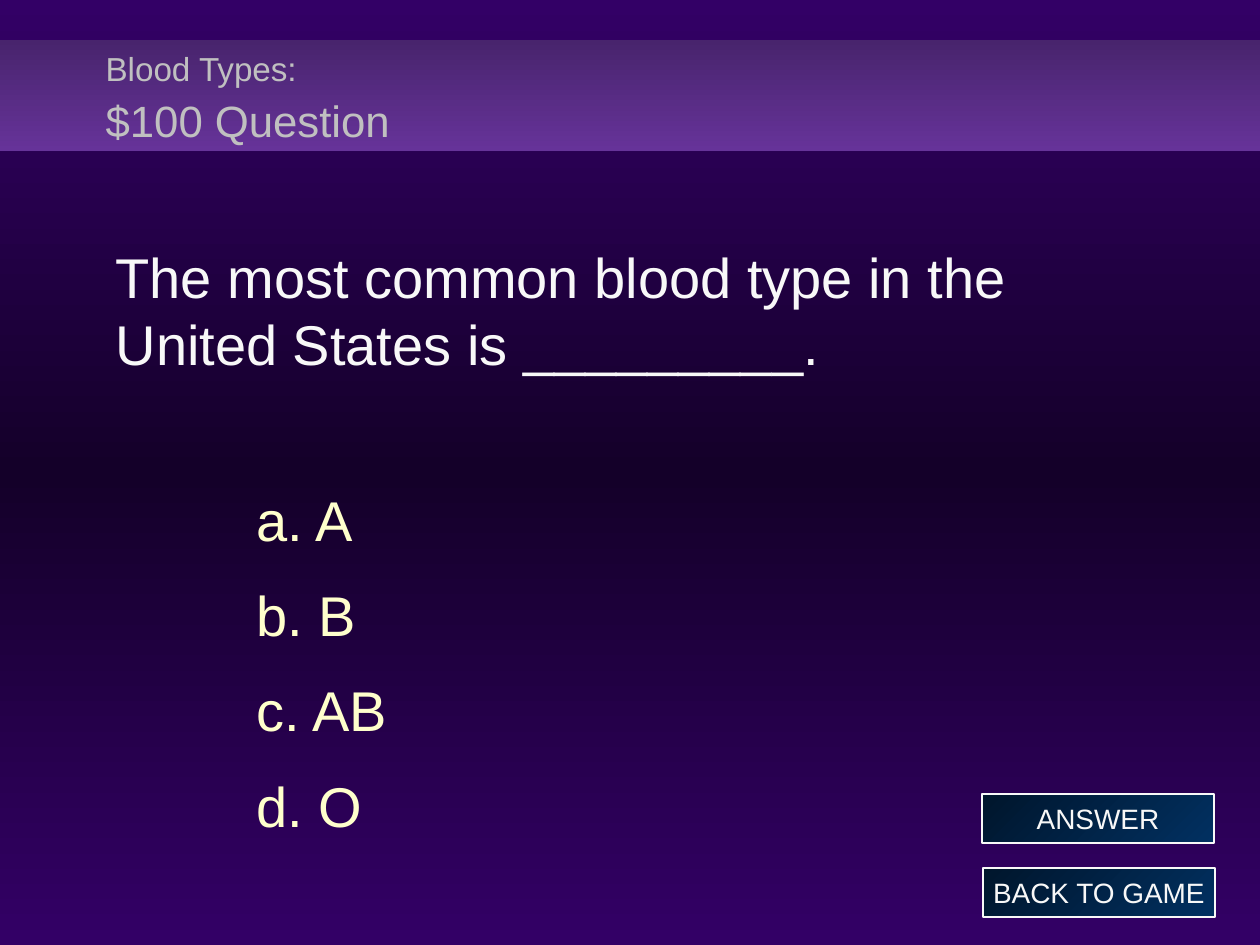
from lxml import etree
from pptx import Presentation
from pptx.dml.color import RGBColor
from pptx.enum.shapes import MSO_SHAPE
from pptx.enum.text import MSO_ANCHOR, MSO_AUTO_SIZE, PP_ALIGN
from pptx.oxml.ns import qn
from pptx.util import Emu, Pt

RECT = MSO_SHAPE.RECTANGLE
MIDDLE = MSO_ANCHOR.MIDDLE
NO_FIT = MSO_AUTO_SIZE.NONE
LEFT, CENTER = PP_ALIGN.LEFT, PP_ALIGN.CENTER

VIOLET = RGBColor(0x33, 0x00, 0x66)
NIGHT = RGBColor(0x14, 0x00, 0x29)
BAND_TOP = RGBColor(0x48, 0x24, 0x6D)
BAND_BOTTOM = RGBColor(0x66, 0x33, 0x99)
BLUE = RGBColor(0x01, 0x30, 0x61)
DARK_BLUE = RGBColor(0x00, 0x16, 0x2C)
SILVER = RGBColor(0xC0, 0xC0, 0xC0)
WHITE = RGBColor(0xF8, 0xF8, 0xF8)
CREAM = RGBColor(0xFF, 0xFF, 0xCC)

EMU_PER_PX = 914400 / 126


def px(n):
    return Emu(round(n * EMU_PER_PX))


class QuizSlide:
    """Style of the quiz and the slide being built."""

    font = "Arial"

    def __init__(self, prs):
        self.s = prs.slides.add_slide(prs.slide_layouts[1])

    def gradient(self, fill, element, colors, angle):
        """Fill with evenly spaced colours; angle is counter-clockwise."""
        fill.gradient()
        fill.gradient_angle = angle
        stops = next(element.iter(qn("a:gsLst")))
        for stop in list(stops):
            stops.remove(stop)
        for i, color in enumerate(colors):
            pos = str(100000 * i // (len(colors) - 1))
            stop = etree.SubElement(stops, qn("a:gs"), pos=pos)
            etree.SubElement(stop, qn("a:srgbClr"), val=str(color))

    def background(self, *colors):
        self.gradient(self.s.background.fill, self.s.element, colors, 270)

    def box(self, x, y, w, h, colors, angle):
        sp = self.s.shapes.add_shape(RECT, px(x), px(y), px(w), px(h))
        sp.shadow.inherit = False
        self.gradient(sp.fill, sp.element, colors, angle)
        sp.line.fill.background()
        return sp

    def run(self, p, text, size, color):
        r = p.add_run()
        r.text = text
        style = {"name": self.font, "size": Pt(size)}
        for name, value in style.items():
            setattr(r.font, name, value)
        r.font.color.rgb = color

    def place(self, sp, x, y, w, h):
        sp.left, sp.top, sp.width, sp.height = map(px, (x, y, w, h))
        tf = sp.text_frame
        frame = {"word_wrap": True, "auto_size": NO_FIT, "vertical_anchor": MIDDLE}
        for name, value in frame.items():
            setattr(tf, name, value)
        return tf

    def title(self, x, y, w, h, category, heading):
        sp = self.s.shapes.title
        # Keep the title in front of the band
        self.s.shapes.element.append(sp.element)
        p = self.place(sp, x, y, w, h).paragraphs[0]
        p.alignment, p.line_spacing = LEFT, 1.1
        self.run(p, category, 19, SILVER)
        p.add_line_break()
        self.run(p, heading, 25, SILVER)

    def body(self, x, y, w, h, question, options):
        sp = self.s.placeholders[1]
        self.s.shapes.element.append(sp.element)
        tf = self.place(sp, x, y, w, h)
        for i, text in enumerate([question, *options]):
            p = tf.add_paragraph() if i else tf.paragraphs[0]
            pPr = p._p.get_or_add_pPr()
            pPr.set("marL", str(px(141 if i else 0)))
            pPr.set("indent", "0")
            etree.SubElement(pPr, qn("a:buNone"))
            # The first option stands well clear of the question
            p.space_before = Pt({0: 0, 1: 54}.get(i, 8))
            p.space_after = Pt(8)
            self.run(p, text, 32, CREAM if i else WHITE)

    def button(self, x, y, w, h, label):
        sp = self.box(x, y, w, h, (BLUE, DARK_BLUE), 135)
        sp.line.color.rgb = WHITE
        sp.line.width = Pt(0.75)
        tf = sp.text_frame
        tf.word_wrap, tf.vertical_anchor = False, MIDDLE
        p = tf.paragraphs[0]
        p.alignment = CENTER
        self.run(p, label, 16, WHITE)


def main():
    prs = Presentation()
    prs.slide_width, prs.slide_height = px(1260), px(945)
    quiz = QuizSlide(prs)

    # Background and title band
    quiz.background(VIOLET, NIGHT, VIOLET)
    quiz.box(0, 40, 1260, 111, (BAND_TOP, BAND_BOTTOM), 270)

    # Question and options
    quiz.title(93, 39, 1144, 112, "Blood Types:", "$100 Question")
    quiz.body(103, 180, 1089, 721,
              "The most common blood type in the United States is _________.",
              ["a. A", "b. B", "c. AB", "d. O"])

    # Navigation buttons
    quiz.button(983, 868, 232, 49, "BACK TO GAME")
    quiz.button(982, 794, 232, 49, "ANSWER")

    prs.save("out.pptx")


if __name__ == "__main__":
    main()
